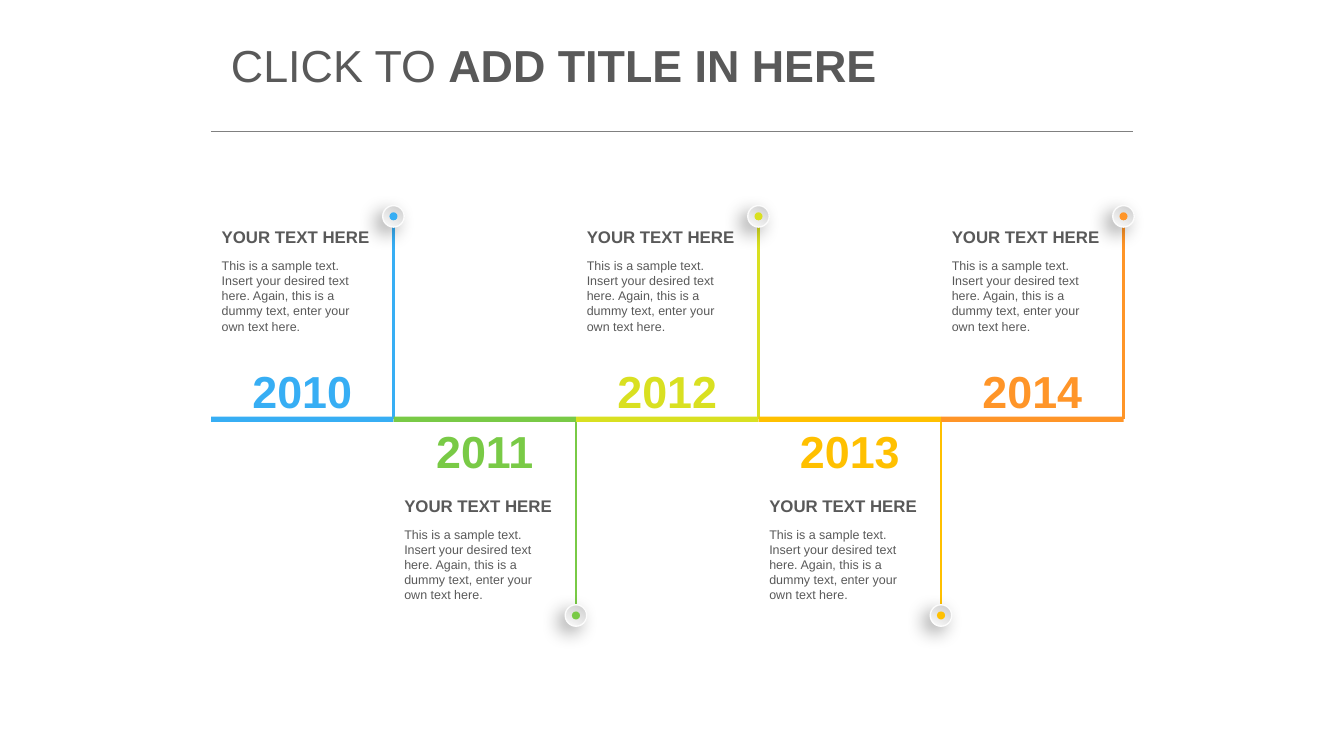
from lxml.etree import SubElement
from pptx import Presentation
from pptx.dml.color import RGBColor
from pptx.enum.shapes import MSO_CONNECTOR, MSO_SHAPE
from pptx.enum.text import PP_ALIGN
from pptx.oxml.ns import qn
from pptx.util import Inches, Pt

GRAY = "595959"
HEAD = "YOUR TEXT HERE"
BODY = ("This is a sample text. Insert your desired text here. "
        "Again, this is a dummy text, enter your own text here.")
STEPS = [("2010", "37AEF4"), ("2011", "79CA46"), ("2012", "D9E021"),
         ("2013", "FFC000"), ("2014", "FF9528")]
ABOVE = {"year": -0.46, "head": -1.43, "body": -1.2, "end": -1.46, "knob": -1.51}
BELOW = {"year": -0.02, "head": 0.57, "body": 0.8, "end": 1.46, "knob": 1.46}


def color(code):
    """Turn a hex string into a colour."""
    return RGBColor.from_string(code)


def add_text(slide, box, runs, size, code, align=PP_ALIGN.LEFT, pad=(0.1, 0.05)):
    """Place one paragraph of (text, bold) runs in a box."""
    frame = slide.shapes.add_textbox(*map(Inches, box)).text_frame
    side, edge = map(Inches, pad)
    form = {"word_wrap": True, "margin_left": side, "margin_right": side,
            "margin_top": edge, "margin_bottom": edge}
    for name, value in form.items():
        setattr(frame, name, value)
    para = frame.paragraphs[0]
    para.alignment = align
    for text, bold in runs:
        run = para.add_run()
        run.text = text
        for name, value in {"name": "Arial", "size": Pt(size), "bold": bold}.items():
            setattr(run.font, name, value)
        run.font.color.rgb = color(code)


def add_line(slide, start, end, code, width):
    """Draw a straight line without a shadow."""
    line = slide.shapes.add_connector(MSO_CONNECTOR.STRAIGHT, *map(Inches, start + end))
    line.line.color.rgb = color(code)
    line.line.width = Pt(width)
    SubElement(line._element.spPr, qn("a:effectLst"))


def add_solid(slide, kind, box, code):
    """Draw a plain filled shape."""
    shape = slide.shapes.add_shape(kind, *map(Inches, box))
    shape.shadow.inherit = False
    shape.fill.solid()
    shape.fill.fore_color.rgb = color(code)
    shape.line.fill.background()
    return shape


def add_knob(slide, x, y, code):
    """Draw a raised knob with a coloured dot, centred on a point."""
    ring = add_solid(slide, MSO_SHAPE.OVAL, (x - 0.08, y - 0.08, 0.16, 0.16), "FCFCFC")
    ring.fill.gradient()
    ring.fill.gradient_angle = 240
    for stop, tone in zip(ring.fill.gradient_stops, ("CCCCCC", "FCFCFC")):
        stop.color.rgb = color(tone)
    ring.line.color.rgb = color("FCFCFC")
    ring.line.width = Pt(0.75)
    effects = ring._element.spPr.find(qn("a:effectLst"))
    shade = SubElement(effects, qn("a:outerShdw"), blurRad=str(Pt(10)),
                       dist=str(Pt(5)), dir=str(136 * 60000), algn="ctr", rotWithShape="0")
    tint = SubElement(shade, qn("a:srgbClr"), val="000000")
    SubElement(tint, qn("a:alpha"), val="34000")
    add_solid(slide, MSO_SHAPE.OVAL, (x - 0.03, y - 0.03, 0.06, 0.06), code)


def add_title(slide, left, top, width, height):
    """Place the title and the rule below it."""
    runs = [("CLICK TO ", False), ("ADD TITLE IN HERE", True)]
    add_text(slide, (left + 0.05, top, width - 0.11, height), runs, 24, GRAY)
    base = top + height - 0.01
    add_line(slide, (left, base), (left + width, base), "808080", 0.75)


def add_step(slide, left, axis, width, year, code, place):
    """Draw one year of the timeline above or below the axis."""
    right = left + width
    add_solid(slide, MSO_SHAPE.RECTANGLE, (left, axis - 0.02, width, 0.04), code)
    add_line(slide, (right, axis), (right, axis + place["end"]), code, 1.5)
    add_text(slide, (left, axis + place["year"], width, 0.5), [(year, True)],
             24, code, PP_ALIGN.CENTER)
    for text, key, wide, high, size in ((HEAD, "head", 1.34, 0.21, 9),
                                        (BODY, "body", 1.23, 0.67, 6.75)):
        add_text(slide, (left + 0.01, axis + place[key], wide, high),
                 [(text, key == "head")], size, GRAY, pad=(0.07, 0))
    add_knob(slide, right, axis + place["knob"], code)


def add_chain(slide, left, axis, width):
    """Set the years side by side, in turn above and below the axis."""
    part = width / len(STEPS)
    for i, (year, code) in enumerate(STEPS):
        place = BELOW if i % 2 else ABOVE
        add_step(slide, left + i * part, axis, part, year, code, place)


def main():
    """Build and save the slide."""
    deck = Presentation()
    deck.slide_width = Inches(10)
    deck.slide_height = deck.slide_width * 9 // 16
    slide = deck.slides.add_slide(deck.slide_layouts[6])
    add_title(slide, 1.57, 0.23, 6.86, 0.76)
    add_chain(slide, 1.57, 3.12, 6.79)
    deck.save("out.pptx")


if __name__ == "__main__":
    main()
